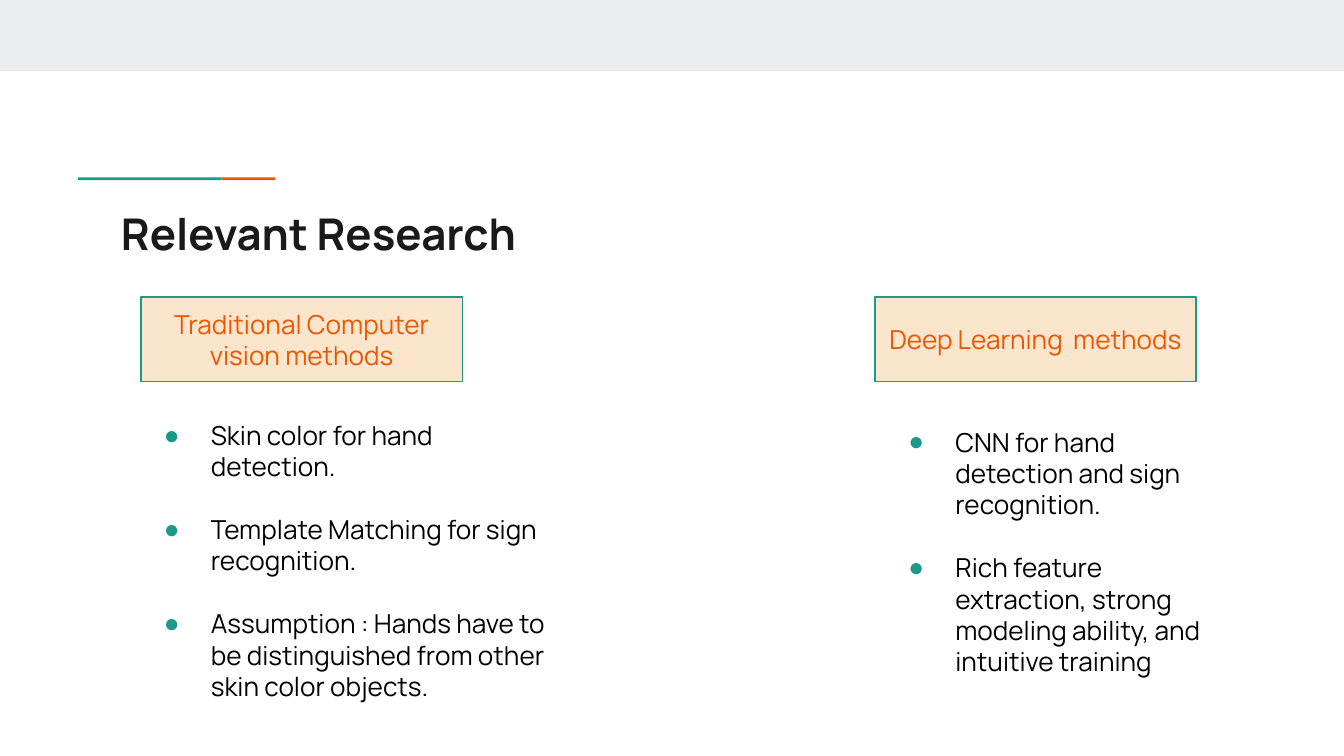
from dataclasses import dataclass

from lxml import etree
from pptx import Presentation
from pptx.dml.color import RGBColor
from pptx.enum import shapes, text
from pptx.oxml import ns
from pptx.util import Inches, Pt

FONT = "Manrope"
BULLET_FONT = "Arial"
BAND = RGBColor(0xE9, 0xED, 0xEE)
TEAL = RGBColor(0x1A, 0x99, 0x88)
ORANGE = RGBColor(0xEB, 0x56, 0x00)
PEACH = RGBColor(0xFC, 0xE5, 0xCD)
INK = RGBColor(0x1A, 0x1A, 0x1A)
BLACK = RGBColor(0, 0, 0)
BODY_SIZE = 14
LINE_PITCH = 16.8


@dataclass(frozen=True)
class Box:
    """A place on the slide, in inches."""
    left: float
    top: float
    width: float
    height: float

    def emu(self):
        """Return the four lengths python-pptx expects."""
        return tuple(Inches(v) for v in (self.left, self.top, self.width, self.height))


@dataclass(frozen=True)
class Approach:
    """One family of methods: its label and its points."""
    label: str
    label_box: Box
    points: tuple[str, ...]
    points_box: Box


APPROACHES = (
    Approach(
        "Traditional Computer vision methods", Box(1.05, 2.21, 2.39, 0.63),
        ("Skin color for hand detection.",
         "Template Matching for sign recognition.",
         "Assumption : Hands have to be distinguished from other skin color objects."),
        Box(0.97, 3.02, 3.25, 2.32)),
    Approach(
        "Deep Learning  methods", Box(6.51, 2.21, 2.39, 0.63),
        ("CNN for hand detection and sign recognition.",
         "Rich feature extraction, strong modeling ability, and intuitive training"),
        Box(6.51, 3.07, 2.69, 2.33)),
)


def write(frame, lines, *, size=BODY_SIZE, color=BLACK, bold=False,
          align=text.PP_ALIGN.LEFT, anchor=text.MSO_ANCHOR.TOP, gap=0, bullet=None):
    """Fill a text frame with one formatted paragraph per line."""
    frame.word_wrap = True
    frame.auto_size = text.MSO_AUTO_SIZE.NONE
    frame.vertical_anchor = anchor
    frame.margin_left = frame.margin_right = Inches(0.1)
    frame.margin_top = frame.margin_bottom = Inches(0.1)
    for index, line in enumerate(lines):
        paragraph = frame.paragraphs[0] if index == 0 else frame.add_paragraph()
        paragraph.alignment = align
        paragraph.space_before = Pt(gap if index else 0)
        run = paragraph.add_run()
        run.text = line
        run.font.name, run.font.size, run.font.bold = FONT, Pt(size), bold
        run.font.color.rgb = color
        if bullet is not None:
            add_bullet(paragraph, bullet)


def add_bullet(paragraph, color: RGBColor) -> None:
    """Give a paragraph a hanging round bullet."""
    props = paragraph._p.get_or_add_pPr()
    props.set("marL", str(Inches(0.5)))
    props.set("indent", str(Inches(-0.35)))
    bullet_color = etree.SubElement(props, ns.qn("a:buClr"))
    etree.SubElement(bullet_color, ns.qn("a:srgbClr"), val=str(color))
    etree.SubElement(props, ns.qn("a:buFont"), typeface=BULLET_FONT)
    etree.SubElement(props, ns.qn("a:buChar"), char="●")


def add_block(slide, box: Box, fill: RGBColor, line: RGBColor | None = None):
    """Draw a flat rectangle, outlined when a line colour is given."""
    block = slide.shapes.add_shape(shapes.MSO_SHAPE.RECTANGLE, *box.emu())
    block.shadow.inherit = False
    block.fill.solid()
    block.fill.fore_color.rgb = fill
    if line is None:
        block.line.fill.background()
    else:
        block.line.color.rgb = line
        block.line.width = Pt(0.75)
    return block


def add_title(slide, wording: str, box: Box) -> None:
    """Place and format the title placeholder."""
    title = slide.shapes.title
    title.left, title.top, title.width, title.height = box.emu()
    write(title.text_frame, [wording], size=23.4, color=INK, bold=True)


def add_approach(slide, approach: Approach) -> None:
    """Draw a labelled box with its bullet points below."""
    label = add_block(slide, approach.label_box, PEACH, TEAL)
    write(label.text_frame, [approach.label], color=ORANGE,
          align=text.PP_ALIGN.CENTER, anchor=text.MSO_ANCHOR.MIDDLE)
    points = slide.shapes.add_textbox(*approach.points_box.emu())
    write(points.text_frame, approach.points, gap=LINE_PITCH, bullet=TEAL)


def main() -> None:
    """Build and save the slide."""
    deck = Presentation()
    deck.slide_width = Inches(10)
    deck.slide_height = deck.slide_width * 9 // 16
    slide = deck.slides.add_slide(deck.slide_layouts[5])
    add_block(slide, Box(0, 0, 10, 0.53), BAND)
    add_block(slide, Box(0.58, 1.32, 1.07, 0.02), TEAL)
    add_block(slide, Box(1.65, 1.32, 0.4, 0.02), ORANGE)
    add_title(slide, "Relevant Research", Box(0.8, 1.44, 8.41, 0.59))
    for approach in APPROACHES:
        add_approach(slide, approach)
    deck.save("out.pptx")


main()
